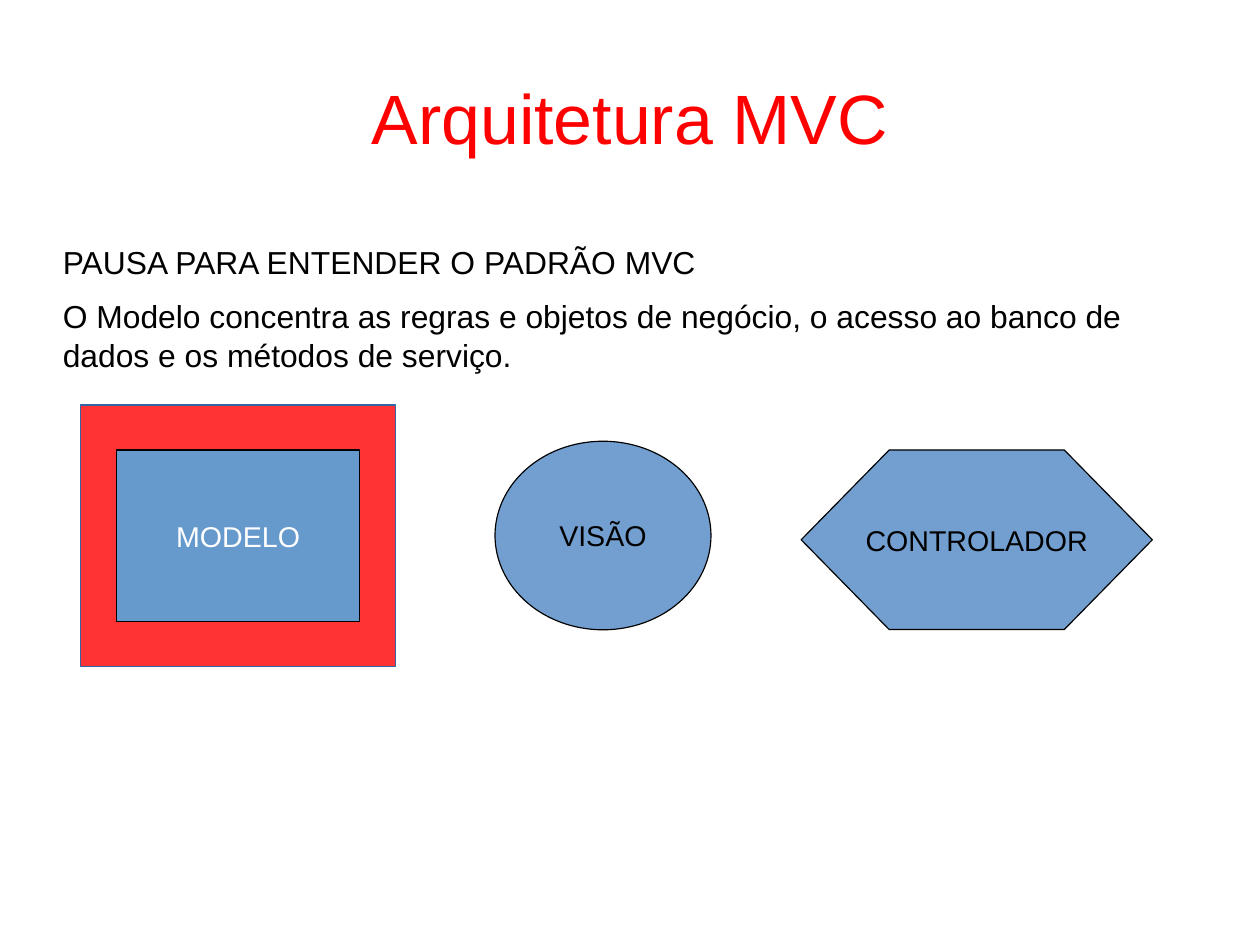
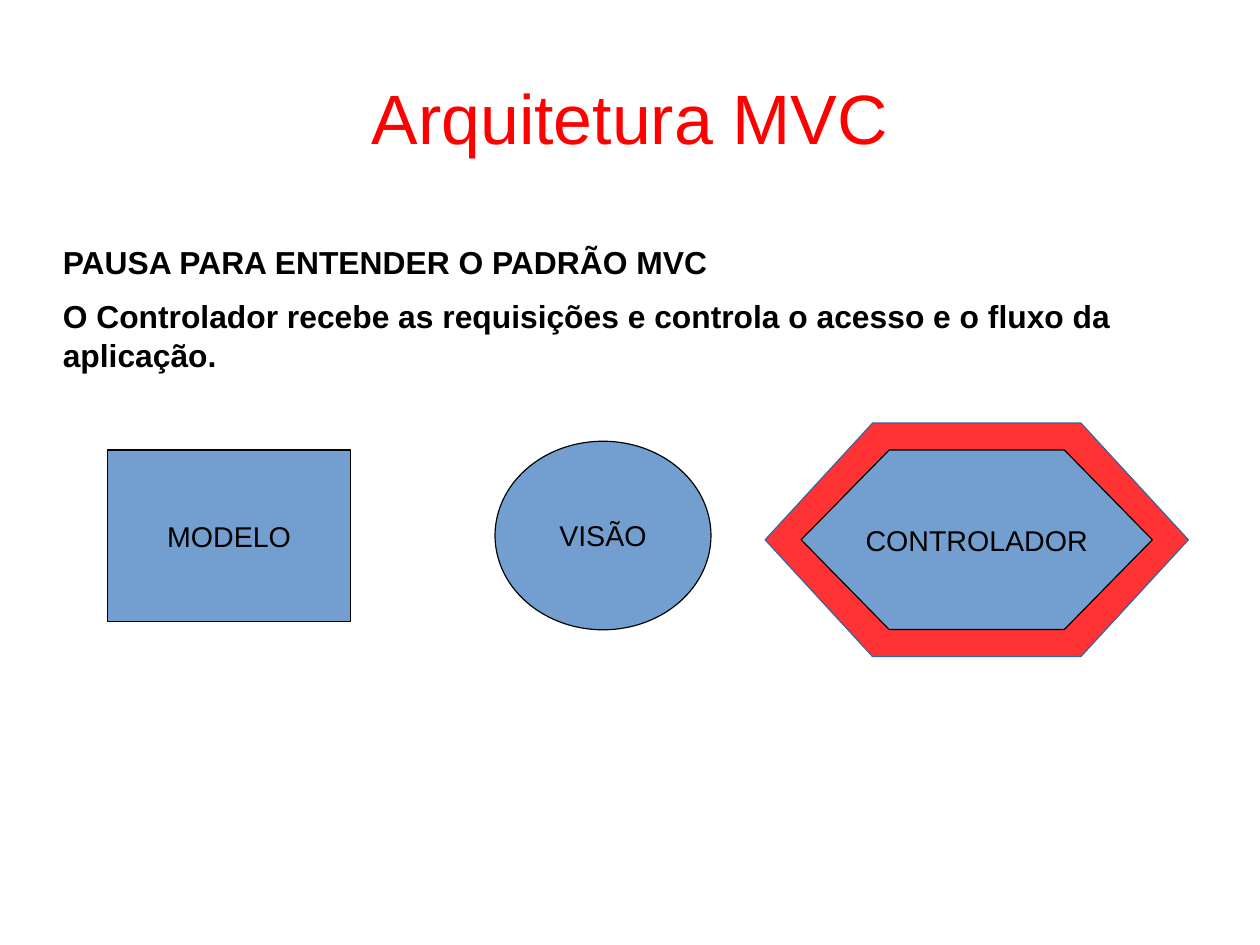
import pptx
import pptx.util
import pptx.dml.color
import pptx.enum.shapes
import pptx.enum.text

Pt = pptx.util.Pt
KIND = pptx.enum.shapes.MSO_SHAPE
ALIGN = pptx.enum.text.PP_ALIGN
ANCHOR = pptx.enum.text.MSO_ANCHOR

FONT = "Arial"
RED, BLACK, WHITE = "FF0000", "000000", "FFFFFF"
BLUE, STEEL = "729FCF", "6699CC"
RING, EDGE = "FF3333", "3465A4"

SIZE = (793.6, 595.4)
TITLE = (39.6, 23.8, 714.4, 99.4)
BODY = (39.6, 152, 714.4, 370)
MODEL = (67.7, 283.5, 153.2, 108)
VIEW = (311.8, 278, 136, 118.8)
CONTROL = (504.6, 283.5, 221.2, 113.2)


def color(code):
    """Turn a hex string into a colour."""
    return pptx.dml.color.RGBColor.from_string(code)


def write(frame, *lines, size=18, ink=BLACK, bold=False, align=ALIGN.LEFT,
          anchor=ANCHOR.TOP, inset=(0, 0), wrap=True, gap=0, pitch=None):
    """Fill a text frame with one paragraph for each line."""
    frame.word_wrap = wrap
    frame.auto_size = pptx.enum.text.MSO_AUTO_SIZE.NONE
    frame.vertical_anchor = anchor
    frame.margin_left = frame.margin_right = Pt(inset[0])
    frame.margin_top = frame.margin_bottom = Pt(inset[1])
    for pos, line in enumerate(lines):
        para = frame.paragraphs[0] if pos == 0 else frame.add_paragraph()
        para.alignment = align
        para.space_before = Pt(gap if pos else 0)
        if pitch:
            para.line_spacing = pitch
        run = para.add_run()
        run.text = line
        font = run.font
        font.name, font.size, font.bold = FONT, Pt(size), bold
        font.color.rgb = color(ink)


def draw(slide, kind, box, fill, line=BLACK, adjust=None):
    """Draw a filled shape with a hairline edge."""
    shape = slide.shapes.add_shape(kind, *map(Pt, box))
    shape.shadow.inherit = False
    shape.fill.solid()
    shape.fill.fore_color.rgb = color(fill)
    shape.line.color.rgb = color(line)
    shape.line.width = Pt(0)
    if adjust:
        shape.adjustments[0] = adjust
    return shape


def block(slide, kind, box, label, fill=BLUE, ink=BLACK, adjust=None,
          ring=None, bend=None):
    """Draw a labelled part, with a red ring around it if it is in focus."""
    if ring:
        left, top, width, height = box
        dx, dy = ring
        outer = (left - dx, top - dy, width + 2 * dx, height + 2 * dy)
        draw(slide, kind, outer, RING, EDGE, bend)
    shape = draw(slide, kind, box, fill, adjust=adjust)
    write(shape.text_frame, label, ink=ink, align=ALIGN.CENTER,
          anchor=ANCHOR.MIDDLE, inset=(7.2, 3.6), wrap=False)


def page(deck, text, bold=False, model=MODEL, focus=None, ring=None):
    """Add a slide with the title, the text and the three MVC parts."""
    slide = deck.slides.add_slide(deck.slide_layouts[5])
    title = slide.shapes.title
    title.left, title.top, title.width, title.height = map(Pt, TITLE)
    write(title.text_frame, "Arquitetura MVC", size=44, ink=RED,
          align=ALIGN.CENTER, anchor=ANCHOR.MIDDLE)
    body = slide.shapes.add_textbox(*map(Pt, BODY))
    write(body.text_frame, "PAUSA PARA ENTENDER O PADRÃO MVC", text,
          size=20, bold=bold, gap=8.8, pitch=1.04)
    parts = {
        "MODELO": dict(kind=KIND.FLOWCHART_PROCESS, box=model),
        "VISÃO": dict(kind=KIND.FLOWCHART_CONNECTOR, box=VIEW),
        "CONTROLADOR": dict(kind=KIND.HEXAGON, box=CONTROL,
                            adjust=0.49, bend=0.46),
    }
    if focus == "MODELO":
        parts[focus].update(fill=STEEL, ink=WHITE)
    for label, part in parts.items():
        block(slide, label=label, ring=ring if label == focus else None, **part)


def main():
    """Build and save the deck."""
    deck = pptx.Presentation()
    deck.slide_width, deck.slide_height = map(Pt, SIZE)
    page(deck, "O Modelo concentra as regras e objetos de negócio, o acesso "
         "ao banco de dados e os métodos de serviço.",
         model=(73.4, *MODEL[1:]), focus="MODELO", ring=(22.7, 28.3))
    page(deck, "O Controlador recebe as requisições e controla o acesso e o "
         "fluxo da aplicação.", bold=True, focus="CONTROLADOR", ring=(22.7, 17))
    deck.save("out.pptx")


if __name__ == "__main__":
    main()
